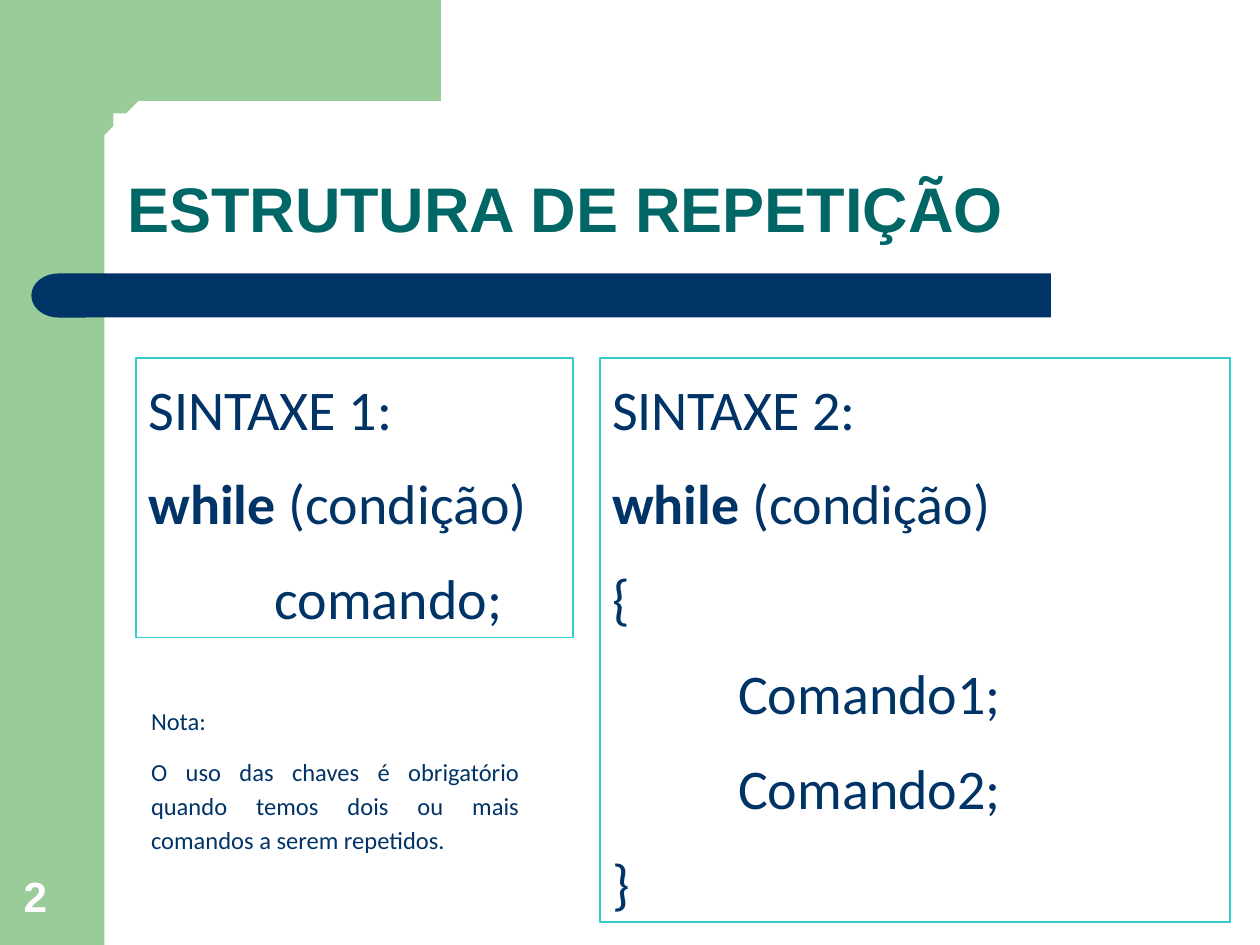
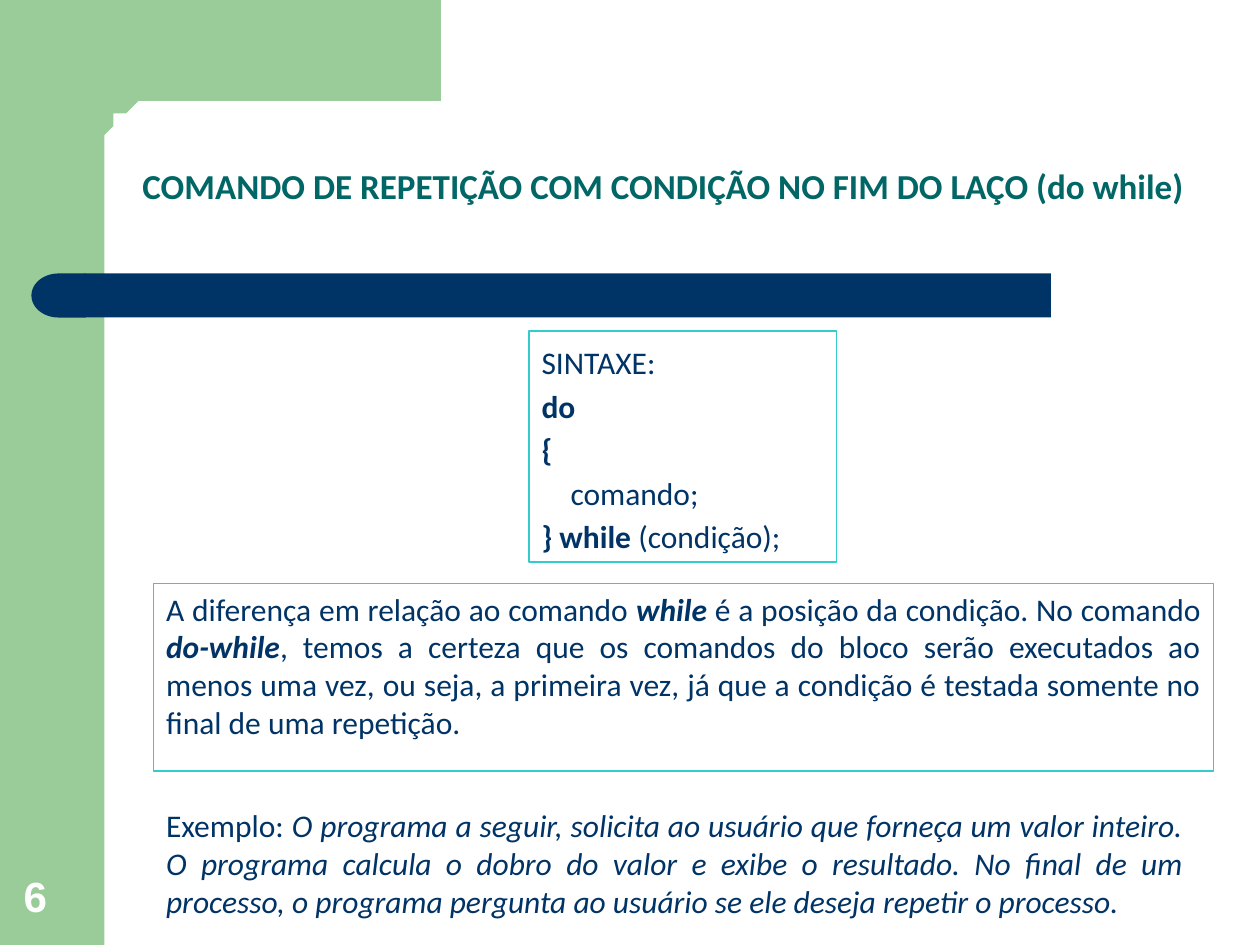
from dataclasses import dataclass
from math import cos, pi, sin

from pptx import Presentation
from pptx.dml.color import RGBColor
from pptx.enum.shapes import MSO_SHAPE
from pptx.enum.text import MSO_ANCHOR, MSO_AUTO_SIZE, PP_ALIGN
from pptx.util import Inches, Pt

COLORS = {
    "green": "99CC99",
    "navy": "003366",
    "teal": "006666",
    "cyan": "33CCCC",
    "white": "FFFFFF",
}
CELL = Inches(0.1)
COLUMNS, ROWS = 100, 75


@dataclass
class Box:
    left: float
    top: float
    width: float
    height: float

    def region(self, column, row, width, height):
        return Box(self.left + column, self.top + row, width, height)

    def lengths(self):
        return [round(cells * CELL) for cells in (self.left, self.top, self.width, self.height)]


@dataclass
class TextStyle:
    size: float
    color: str = "navy"
    font: str = "Calibri"
    bold: bool = False
    align: PP_ALIGN = PP_ALIGN.LEFT
    line_spacing: float = 1.0
    space_before: float = 0
    space_after: float = 0


PAGE = Box(0, 0, COLUMNS, ROWS)
CONTENT = PAGE.region(10.8, 26.3, 86.8, 47)


def rgb(name):
    return RGBColor.from_string(COLORS[name])


def paint(shape, fill, line=None, line_width=1):
    shape.shadow.inherit = False
    if fill:
        shape.fill.solid()
        shape.fill.fore_color.rgb = rgb(fill)
    else:
        shape.fill.background()
    if line:
        shape.line.color.rgb = rgb(line)
        shape.line.width = Pt(line_width)
    else:
        shape.line.fill.background()


def write_paragraph(paragraph, runs, style, indent=0):
    paragraph.alignment = style.align
    paragraph.line_spacing = style.line_spacing
    paragraph.space_before = Pt(style.space_before)
    paragraph.space_after = Pt(style.space_after)
    if indent:
        paragraph._p.get_or_add_pPr().set("marL", str(Inches(indent)))
    for text, emphasis in runs:
        run = paragraph.add_run()
        run.text = text
        run.font.name = style.font
        run.font.size = Pt(style.size)
        run.font.bold = style.bold or "b" in emphasis
        run.font.italic = "i" in emphasis
        run.font.color.rgb = rgb(style.color)


def write_lines(shape, lines, style, indent=0, anchor=MSO_ANCHOR.TOP):
    frame = shape.text_frame
    frame.word_wrap = True
    frame.auto_size = MSO_AUTO_SIZE.NONE
    frame.vertical_anchor = anchor
    for index, runs in enumerate(lines):
        paragraph = frame.add_paragraph() if index else frame.paragraphs[0]
        indented = runs[0][0].lower().startswith("comando")
        write_paragraph(paragraph, runs, style, indent if indented else 0)


def add_framed_text(slide, box, lines, style, indent=0, fill="white", line_width=1):
    shape = slide.shapes.add_shape(MSO_SHAPE.RECTANGLE, *box.lengths())
    paint(shape, fill, "cyan", line_width)
    write_lines(shape, lines, style, indent)


def add_plain_text(slide, box, lines, style, anchor=MSO_ANCHOR.TOP):
    write_lines(slide.shapes.add_textbox(*box.lengths()), lines, style, anchor=anchor)


def add_green_corner(slide, box):
    band, inner, radius, steps = 8.3, 3.3, 3.3, 12
    center_x, center_y = box.left + inner + radius, box.top + band + radius
    right, bottom = box.left + box.width, box.top + box.height
    angles = [pi / 2 * (1 + step / steps) for step in range(steps + 1)]
    curve = [(center_x + radius * cos(angle), center_y - radius * sin(angle)) for angle in angles]
    outline = [
        (right, box.top + band), *curve,
        (box.left + inner, bottom), (box.left, bottom), (box.left, box.top),
    ]
    builder = slide.shapes.build_freeform(right, box.top, scale=CELL)
    builder.add_line_segments(outline, close=True)
    corner = builder.convert_to_shape()
    paint(corner, "green")
    return corner


def add_band(slide, kind, box, color):
    band = slide.shapes.add_shape(kind, *box.lengths())
    paint(band, color)
    return band


def decorate_layout(layout, slide):
    for placeholder in list(layout.placeholders)[1:]:
        layout.shapes.element.remove(placeholder.element)
    title_bar = PAGE.region(2.5, 21.7, 80.9, 3.5)
    side = add_band(slide, MSO_SHAPE.RECTANGLE, PAGE.region(0, 0, 8.3, ROWS), "green")
    corner = add_green_corner(slide, PAGE.region(5, 0, 30, 12.8))
    bar = add_band(slide, MSO_SHAPE.RECTANGLE, title_bar.region(4.2, 0, 76.7, 3.5), "navy")
    bar_end = add_band(slide, MSO_SHAPE.FLOWCHART_DELAY, title_bar.region(0, 0, 4.3, 3.5), "navy")
    bar_end.element.spPr.xfrm.set("flipH", "1")
    for position, shape in enumerate((side, corner, bar, bar_end), start=2):
        layout.shapes.element.insert(position, shape.element)


def set_title(slide, box, text, style):
    title = slide.shapes.title
    title.left, title.top, title.width, title.height = box.lengths()
    write_lines(title, [[(text, "")]], style, anchor=MSO_ANCHOR.BOTTOM)


def add_slide_number(slide, number):
    style = TextStyle(24.1, "white", "Arial", bold=True)
    box = PAGE.region(0.9, 68.3, 6.4, 5.3)
    add_plain_text(slide, box, [[(number, "")]], style, MSO_ANCHOR.BOTTOM)


def fill_while_slide(slide, box):
    title_style = TextStyle(36, "teal", "Arial", bold=True, line_spacing=0.9)
    set_title(slide, PAGE.region(9.1, 9.1, 85.1, 10.9), "ESTRUTURA DE REPETIÇÃO", title_style)
    add_slide_number(slide, "2")
    code = TextStyle(32, line_spacing=1.15, space_after=10)
    condition = [("while", "b"), (" (condição)", "")]
    add_framed_text(slide, box.region(0, 2.1, 34.7, 22.2), [
        [("SINTAXE 1:", "")],
        condition,
        [("comando;", "")],
    ], code, indent=1)
    add_framed_text(slide, box.region(36.8, 2.1, 50, 44.8), [
        [("SINTAXE 2:", "")],
        condition,
        [("{", "")],
        [("Comando1;", "")],
        [("Comando2;", "")],
        [("}", "")],
    ], code, indent=1)
    note = box.region(0.2, 28.9, 31.2, 13.1)
    heading = TextStyle(14, line_spacing=1.15, space_after=10)
    body = TextStyle(14, line_spacing=1.15, space_after=10, align=PP_ALIGN.JUSTIFY)
    text = "O uso das chaves é obrigatório quando temos dois ou mais comandos a serem repetidos."
    shape = slide.shapes.add_textbox(*note.lengths())
    write_lines(shape, [[("Nota:", "")]], heading)
    write_paragraph(shape.text_frame.add_paragraph(), [(text, "")], body)


def fill_do_while_slide(slide, box):
    title_style = TextStyle(20, "teal", bold=True, align=PP_ALIGN.CENTER, line_spacing=0.9)
    title = "COMANDO DE REPETIÇÃO COM CONDIÇÃO NO FIM DO LAÇO (do while)"
    set_title(slide, PAGE.region(10.1, 6, 85.1, 10.9), title, title_style)
    add_framed_text(slide, box.region(1.4, 20, 84.1, 14.9), [[
        ("A diferença em relação ao comando ", ""),
        ("while", "bi"),
        (" é a posição da condição. No comando ", ""),
        ("do-while", "bi"),
        (", temos a certeza que os comandos do bloco serão executados ao menos uma vez, "
         "ou seja, a primeira vez, já que a condição é testada somente no final de uma "
         "repetição.", ""),
    ]], TextStyle(18, align=PP_ALIGN.JUSTIFY, space_before=4.5), fill=None, line_width=0.75)
    add_slide_number(slide, "6")
    add_framed_text(slide, box.region(31.2, 0, 24.4, 18.3), [
        [("SINTAXE:", "")],
        [("do", "b")],
        [("{", "b")],
        [("comando;", "")],
        [("} while", "b"), (" (condição);", "")],
    ], TextStyle(18, line_spacing=1.15), indent=0.23)
    add_plain_text(slide, box.region(1.4, 37.2, 82.7, 10), [[
        ("Exemplo: ", ""),
        ("O programa a seguir, solicita ao usuário que forneça um valor inteiro. "
         "O programa calcula o dobro do valor e exibe o resultado. No final de um processo, "
         "o programa pergunta ao usuário se ele deseja repetir o processo.", "i"),
    ]], TextStyle(18, align=PP_ALIGN.JUSTIFY))


def main():
    presentation = Presentation()
    presentation.slide_width = COLUMNS * CELL
    presentation.slide_height = ROWS * CELL
    layout = presentation.slide_layouts[5]
    slides = [presentation.slides.add_slide(layout) for _ in range(2)]
    decorate_layout(layout, slides[0])
    for slide, fill_slide in zip(slides, (fill_while_slide, fill_do_while_slide)):
        fill_slide(slide, CONTENT)
    presentation.save("out.pptx")


if __name__ == "__main__":
    main()
